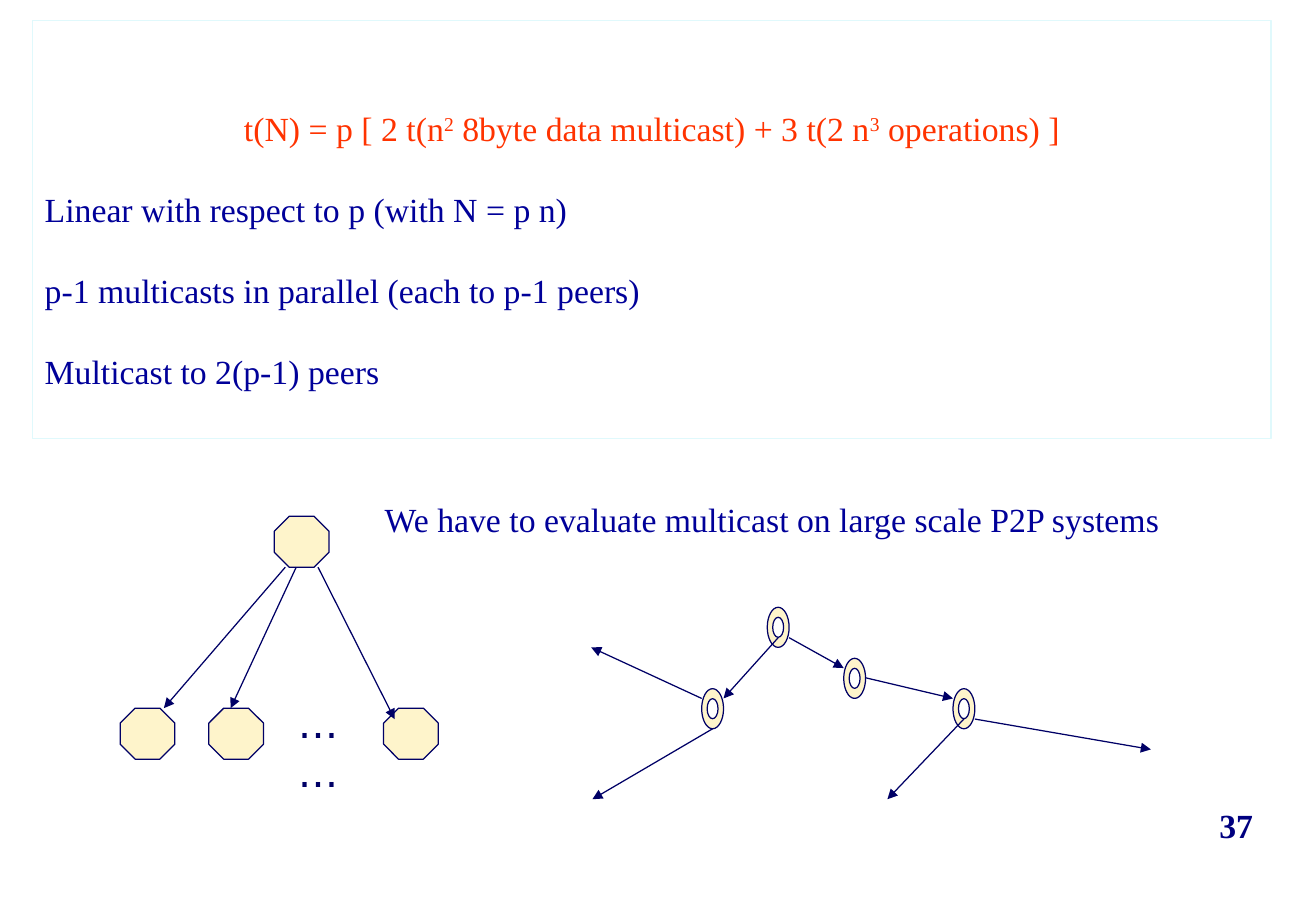
"""Build a slide on the cost of matrix multicast and its evaluation on P2P systems."""
from dataclasses import dataclass
from typing import NamedTuple

from lxml import etree
from pptx import Presentation
from pptx.dml.color import RGBColor
from pptx.enum import shapes, text
from pptx.oxml import ns
from pptx.util import Emu, Inches, Pt


@dataclass(frozen=True)
class Theme:
    """Fonts, type sizes and colours of the slide."""
    font: str = "Times New Roman"
    dots_font: str = "DejaVu Sans"
    body: Emu = Pt(20)
    dots: Emu = Pt(24)
    gap: Emu = Pt(24)
    stroke: Emu = Pt(0.75)
    ink: RGBColor = RGBColor(0x00, 0x00, 0x99)
    number: RGBColor = RGBColor(0x00, 0x00, 0x80)
    formula: RGBColor = RGBColor(0xFF, 0x33, 0x00)
    node: RGBColor = RGBColor(0xFE, 0xF4, 0xCB)
    outline: RGBColor = RGBColor(0x00, 0x00, 0x66)
    frame: RGBColor = RGBColor(0xE0, 0xF9, 0xFC)


class Point(NamedTuple):
    """Position in inches."""
    x: float
    y: float


class Box(NamedTuple):
    """Left, top, width and height in inches."""
    x: float
    y: float
    w: float
    h: float


class Arrow(NamedTuple):
    """Arrow from one point to another."""
    start: Point
    end: Point


@dataclass(frozen=True)
class Label:
    """Single-paragraph text box."""
    box: Box
    words: str
    color: RGBColor
    align: text.PP_ALIGN = text.PP_ALIGN.LEFT
    anchor: text.MSO_ANCHOR = text.MSO_ANCHOR.TOP
    size: Emu = Theme.body
    font: str = Theme.font
    bold: bool = False


THEME = Theme()
NODE_W, NODE_H = 0.45, 0.42
RING_W, RING_H = 0.18, 0.33
BEND = 0.55

FORMULA = ("t(N) = p [ 2 t(n", "2", " 8byte data multicast) + 3 t(2 n", "3", " operations) ]")
REMARKS = (
    "Linear with respect to p (with N = p n)",
    "p-1 multicasts in parallel (each to p-1 peers)",
    "Multicast to 2(p-1) peers",
)
PAGE_NUMBER = Label(Box(8.75, 6.58, 1.67, 0.42), "37", THEME.number, text.PP_ALIGN.RIGHT,
                    text.MSO_ANCHOR.MIDDLE, bold=True)
LABELS = (
    Label(Box(2.26, 5.7, 0.72, 0.5), "……", THEME.outline, text.PP_ALIGN.CENTER,
          size=THEME.dots, font=THEME.dots_font),
    Label(Box(3.07, 4.06, 7.59, 0.44),
          "We have to evaluate multicast on large scale P2P systems", THEME.ink),
)
NODES = (Point(2.26, 4.25), Point(3.16, 5.83), Point(1.72, 5.83), Point(0.99, 5.83))
RINGS = (Point(6.32, 5), Point(5.78, 5.67), Point(6.95, 5.42), Point(7.85, 5.67))
NODE_ARROWS = (
    Arrow(Point(2.35, 4.67), Point(1.35, 5.83)),
    Arrow(Point(2.44, 4.67), Point(1.9, 5.83)),
    Arrow(Point(2.62, 4.67), Point(3.25, 5.92)),
)
RING_ARROWS = (
    Arrow(Point(6.5, 5.25), Point(6.95, 5.5)),
    Arrow(Point(7.13, 5.58), Point(7.85, 5.75)),
    Arrow(Point(6.41, 5.25), Point(5.96, 5.75)),
    Arrow(Point(7.94, 5.92), Point(7.31, 6.58)),
    Arrow(Point(8.03, 5.92), Point(9.48, 6.17)),
    Arrow(Point(5.87, 6), Point(4.88, 6.58)),
    Arrow(Point(5.78, 5.75), Point(4.87, 5.33)),
)


def style_font(p, color: RGBColor, size: Emu = THEME.body, font: str = THEME.font,
               bold: bool = False) -> None:
    """Set the font of a whole paragraph."""
    p.font.name, p.font.size, p.font.bold = font, size, bold
    p.font.color.rgb = color


def style_node(sp) -> None:
    """Give a network node its fill and outline."""
    sp.shadow.inherit = False
    sp.fill.solid()
    sp.fill.fore_color.rgb = THEME.node
    sp.line.color.rgb = THEME.outline
    sp.line.width = THEME.stroke


def add_label(s, label: Label) -> None:
    """Draw a text box."""
    tf = s.shapes.add_textbox(*map(Inches, label.box)).text_frame
    tf.word_wrap = True
    tf.vertical_anchor = label.anchor
    p = tf.paragraphs[0]
    p.text, p.alignment = label.words, label.align
    style_font(p, label.color, label.size, label.font, label.bold)


def add_cost_frame(s, box: Box) -> None:
    """Draw the framed formula and the remarks below it."""
    sp = s.shapes.add_shape(shapes.MSO_SHAPE.RECTANGLE, *map(Inches, box))
    sp.shadow.inherit = False
    sp.fill.background()
    sp.line.color.rgb = THEME.frame
    sp.line.width = THEME.stroke
    tf = sp.text_frame
    tf.word_wrap = True
    tf.vertical_anchor = text.MSO_ANCHOR.TOP
    tf.margin_top = Inches(0.72)
    p = tf.paragraphs[0]
    p.alignment = text.PP_ALIGN.CENTER
    for i, part in enumerate(FORMULA):
        r = p.add_run()
        r.text = part
        if i % 2:
            r.font._element.set("baseline", "30000")
    style_font(p, THEME.formula)
    for remark in REMARKS:
        p = tf.add_paragraph()
        p.text, p.alignment = remark, text.PP_ALIGN.LEFT
        p.space_before = THEME.gap
        style_font(p, THEME.ink)


def add_node(s, at: Point) -> None:
    """Draw an octagonal peer."""
    sp = s.shapes.add_shape(shapes.MSO_SHAPE.OCTAGON,
                            *map(Inches, (*at, NODE_W, NODE_H)))
    style_node(sp)


def ellipse(at: Point, scale: float) -> list[tuple[Emu, Emu]]:
    """Return the curve points of an ellipse centred in a ring's box."""
    quarter = [(-1, 0), (-1, -BEND), (-BEND, -1)]
    points = []
    for _ in range(4):
        points += quarter
        quarter = [(-y, x) for x, y in quarter]
    return [(Inches(at.x + RING_W / 2 * (1 + scale * x)),
             Inches(at.y + RING_H / 2 * (1 + scale * y))) for x, y in points + points[:1]]


def add_ring(s, at: Point) -> None:
    """Draw a curved ring whose hole is half its size."""
    outer, inner = ellipse(at, 1), ellipse(at, 0.5)[::-1]
    builder = s.shapes.build_freeform(*outer[0])
    builder.add_line_segments(outer[1:])
    builder.move_to(*inner[0])
    builder.add_line_segments(inner[1:])
    sp = builder.convert_to_shape()
    steps = list(sp._element.iter(ns.qn("a:lnTo")))
    for first, second, third in zip(steps[::3], steps[1::3], steps[2::3]):
        curve = etree.Element(ns.qn("a:cubicBezTo"))
        first.addprevious(curve)
        for step in (first, second, third):
            curve.append(step[0])
            step.getparent().remove(step)
    style_node(sp)


def add_arrow(s, arrow: Arrow) -> None:
    """Draw a straight arrow."""
    cx = s.shapes.add_connector(shapes.MSO_CONNECTOR.STRAIGHT,
                                *map(Inches, (*arrow.start, *arrow.end)))
    cx.line.color.rgb = THEME.outline
    cx.line.width = THEME.stroke
    etree.SubElement(cx.line._get_or_add_ln(), ns.qn("a:tailEnd"), type="triangle")
    etree.SubElement(cx._element.spPr, ns.qn("a:effectLst"))


def main() -> None:
    """Build and save the slide."""
    prs = Presentation()
    prs.slide_width, prs.slide_height = Inches(10.84), Inches(7.5)
    s = prs.slides.add_slide(prs.slide_layouts[6])
    add_label(s, PAGE_NUMBER)
    add_cost_frame(s, Box(0.27, 0.17, 10.2, 3.44))
    for draw, items in ((add_node, NODES), (add_arrow, NODE_ARROWS), (add_label, LABELS),
                        (add_ring, RINGS), (add_arrow, RING_ARROWS)):
        for item in items:
            draw(s, item)
    prs.save("out.pptx")


if __name__ == "__main__":
    main()
